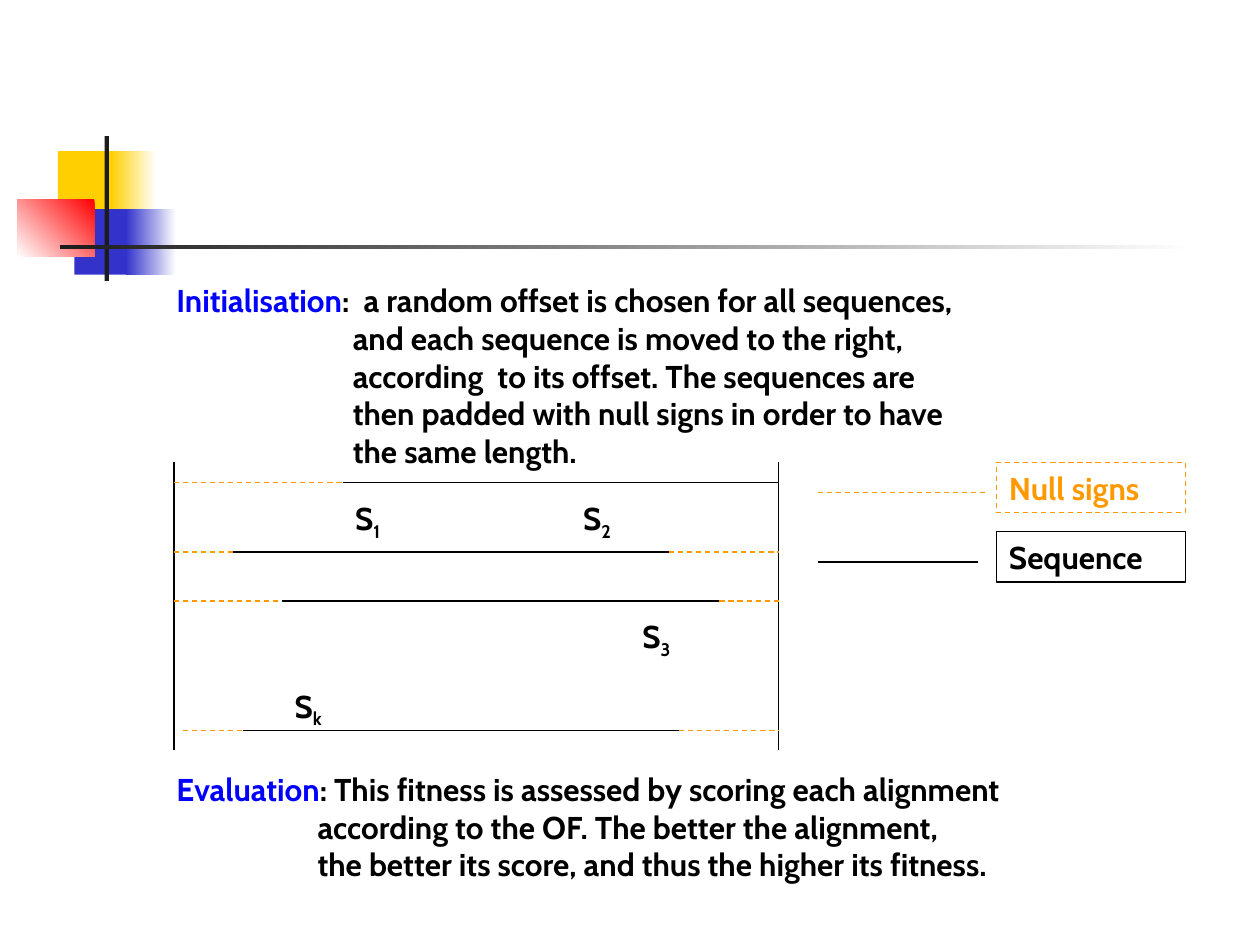
from dataclasses import dataclass
from typing import Optional

from pptx import Presentation
from pptx.dml.color import RGBColor
from pptx.enum.dml import MSO_LINE
from pptx.enum.shapes import MSO_CONNECTOR, MSO_SHAPE
from pptx.enum.text import MSO_ANCHOR, MSO_AUTO_SIZE, PP_ALIGN
from pptx.oxml.ns import qn
from pptx.util import Inches, Pt
from lxml.etree import SubElement

WHITE = RGBColor(0xFF, 0xFF, 0xFF)
BLACK = RGBColor(0, 0, 0)
CHARCOAL = RGBColor(0x1C, 0x1C, 0x1C)
YELLOW = RGBColor(0xFF, 0xCF, 0x01)
INDIGO = RGBColor(0x33, 0x33, 0xCC)
RED = RGBColor(0xFF, 0, 0)
BLUE = RGBColor(0, 0, 0xFF)
ORANGE = RGBColor(0xFF, 0x99, 0)

COLUMNS, ROWS = 100, 75
WIDTH, HEIGHT = Inches(10), Inches(7.5)
FONT_FORMAT = {"name": "Cabin", "size": Pt(18), "bold": True}
FRAME_FORMAT = {"word_wrap": True, "auto_size": MSO_AUTO_SIZE.NONE,
                "vertical_anchor": MSO_ANCHOR.TOP}
PARA_FORMAT = {"alignment": PP_ALIGN.LEFT, "space_before": Pt(0)}


@dataclass(frozen=True)
class Area:
    column: float
    row: float
    columns: float
    rows: float

    def lengths(self) -> dict:
        return {"left": across(self.column), "top": down(self.row),
                "width": across(self.columns), "height": down(self.rows)}


@dataclass(frozen=True)
class Ornament:
    area: Area
    start: RGBColor
    end: Optional[RGBColor] = None
    angle: int = 180


@dataclass(frozen=True)
class Sequence:
    row: float
    padding_start: float
    start: float
    end: float


@dataclass(frozen=True)
class Label:
    column: float
    row: float
    index: str


@dataclass(frozen=True)
class Step:
    area: Area
    indent: float
    term: str
    lines: tuple


@dataclass(frozen=True)
class LegendEntry:
    row: float
    line_end: float
    name: str
    color: RGBColor
    dashed: bool


FRAME_LEFT, FRAME_RIGHT, FRAME_TOP, FRAME_BOTTOM = 13.8, 61.8, 36.7, 59.5

ORNAMENTS = (
    Ornament(Area(4.6, 12, 4.8, 5.2), YELLOW),
    Ornament(Area(8.8, 12, 3.6, 5.2), WHITE, YELLOW),
    Ornament(Area(5.9, 16.6, 4.6, 5.2), INDIGO),
    Ornament(Area(10, 16.6, 4, 5.2), WHITE, INDIGO),
    Ornament(Area(1.4, 15.8, 6.1, 4.6), RED, WHITE, 225),
    Ornament(Area(8.3, 10.8, 0.35, 11.5), CHARCOAL),
    Ornament(Area(4.8, 19.45, 90, 0.35), WHITE, CHARCOAL),
)
SEQUENCES = (
    Sequence(38.3, FRAME_LEFT, 27.2, FRAME_RIGHT),
    Sequence(43.8, FRAME_LEFT, 18.5, 53.1),
    Sequence(47.7, FRAME_LEFT, 22.4, 57.1),
    Sequence(58, 14.5, 19.3, 53.9),
)
LABELS = (Label(27.2, 39.1, "1"), Label(45.3, 39.1, "2"),
          Label(50, 48.5, "3"), Label(22.4, 54, "k"))
LEGEND = (LegendEntry(36.7, 78.3, "Null signs", ORANGE, True),
          LegendEntry(42.2, 77.6, "Sequence", BLACK, False))
STEPS = (
    Step(Area(13, 21.8, 79.5, 16), 14, "Initialisation", (
        ":  a random offset is chosen for all sequences,",
        "and each sequence is moved to the right,",
        "according  to its offset. The sequences are",
        "then padded with null signs in order to have",
        "the same length.")),
    Step(Area(13, 60.6, 82.7, 13), 11.2, "Evaluation", (
        ": This fitness is assessed by scoring each alignment",
        "according to the OF. The better the alignment,",
        "the better its score, and thus the higher its fitness.")),
)


def across(columns: float) -> int:
    return round(WIDTH * columns / COLUMNS)


def down(rows: float) -> int:
    return round(HEIGHT * rows / ROWS)


def apply(target, values: dict) -> None:
    for name, value in values.items():
        setattr(target, name, value)


def add_span(para, text: str, color: RGBColor = BLACK):
    span = para.add_run()
    span.text = text
    apply(span.font, FONT_FORMAT)
    span.font.color.rgb = color
    return span


def first_para(box):
    apply(box.text_frame, FRAME_FORMAT)
    para = box.text_frame.paragraphs[0]
    apply(para, PARA_FORMAT)
    return para


def style_line(line, color: RGBColor, dashed: bool) -> None:
    line.color.rgb = color
    line.width = Pt(0.75)
    if dashed:
        line.dash_style = MSO_LINE.DASH


def draw_line(page, start: tuple, end: tuple, color: RGBColor = BLACK,
              dashed: bool = False) -> None:
    line = page.shapes.add_connector(
        MSO_CONNECTOR.STRAIGHT, across(start[0]), down(start[1]),
        across(end[0]), down(end[1]))
    style_line(line.line, color, dashed)
    SubElement(line._element.spPr, qn("a:effectLst"))


def add_rectangle(page, area: Area):
    box = page.shapes.add_shape(MSO_SHAPE.RECTANGLE, **area.lengths())
    box.shadow.inherit = False
    return box


def draw_ornament(page, ornament: Ornament) -> None:
    box = add_rectangle(page, ornament.area)
    box.line.fill.background()
    if ornament.end is None:
        box.fill.solid()
        box.fill.fore_color.rgb = ornament.start
        return
    box.fill.gradient()
    box.fill.gradient_angle = ornament.angle
    for stop, color in zip(box.fill.gradient_stops, (ornament.start, ornament.end)):
        stop.color.rgb = color


def fill_step(box, step: Step) -> None:
    apply(box, step.area.lengths())
    first_para(box)
    for number, text in enumerate(step.lines):
        para = box.text_frame.add_paragraph() if number else box.text_frame.paragraphs[0]
        properties = para._p.get_or_add_pPr()
        properties.set("marL", str(across(step.indent) if number else 0))
        properties.set("indent", "0")
        SubElement(properties, qn("a:buNone"))
        apply(para, PARA_FORMAT)
        if not number:
            add_span(para, step.term, BLUE)
        add_span(para, text)


def draw_sequence(page, sequence: Sequence) -> None:
    row = sequence.row
    draw_line(page, (sequence.start, row), (sequence.end, row))
    for start, end in ((sequence.padding_start, sequence.start),
                       (sequence.end, FRAME_RIGHT)):
        if start < end:
            draw_line(page, (start, row), (end, row), ORANGE, True)


def draw_label(page, label: Label) -> None:
    box = page.shapes.add_textbox(**Area(label.column, label.row, 5.5, 4.4).lengths())
    para = first_para(box)
    add_span(para, "S")
    index = add_span(para, label.index)
    index._r.get_or_add_rPr().set("baseline", "-25000")


def draw_legend_entry(page, entry: LegendEntry) -> None:
    middle = entry.row + 2.4
    draw_line(page, (64.9, middle), (entry.line_end, middle), entry.color, entry.dashed)
    box = add_rectangle(page, Area(79.1, entry.row, 15, 4))
    box.fill.background()
    style_line(box.line, entry.color, entry.dashed)
    add_span(first_para(box), entry.name, entry.color)


def main() -> None:
    deck = Presentation()
    apply(deck, {"slide_width": WIDTH, "slide_height": HEIGHT})
    page = deck.slides.add_slide(deck.slide_layouts[3])
    title, *bodies = page.placeholders
    title._element.getparent().remove(title._element)
    for ornament in ORNAMENTS:
        draw_ornament(page, ornament)
    for body, step in zip(bodies, STEPS):
        fill_step(body, step)
    for column in (FRAME_LEFT, FRAME_RIGHT):
        draw_line(page, (column, FRAME_TOP), (column, FRAME_BOTTOM))
    for sequence in SEQUENCES:
        draw_sequence(page, sequence)
    for label in LABELS:
        draw_label(page, label)
    for entry in LEGEND:
        draw_legend_entry(page, entry)
    deck.save("out.pptx")


if __name__ == "__main__":
    main()
